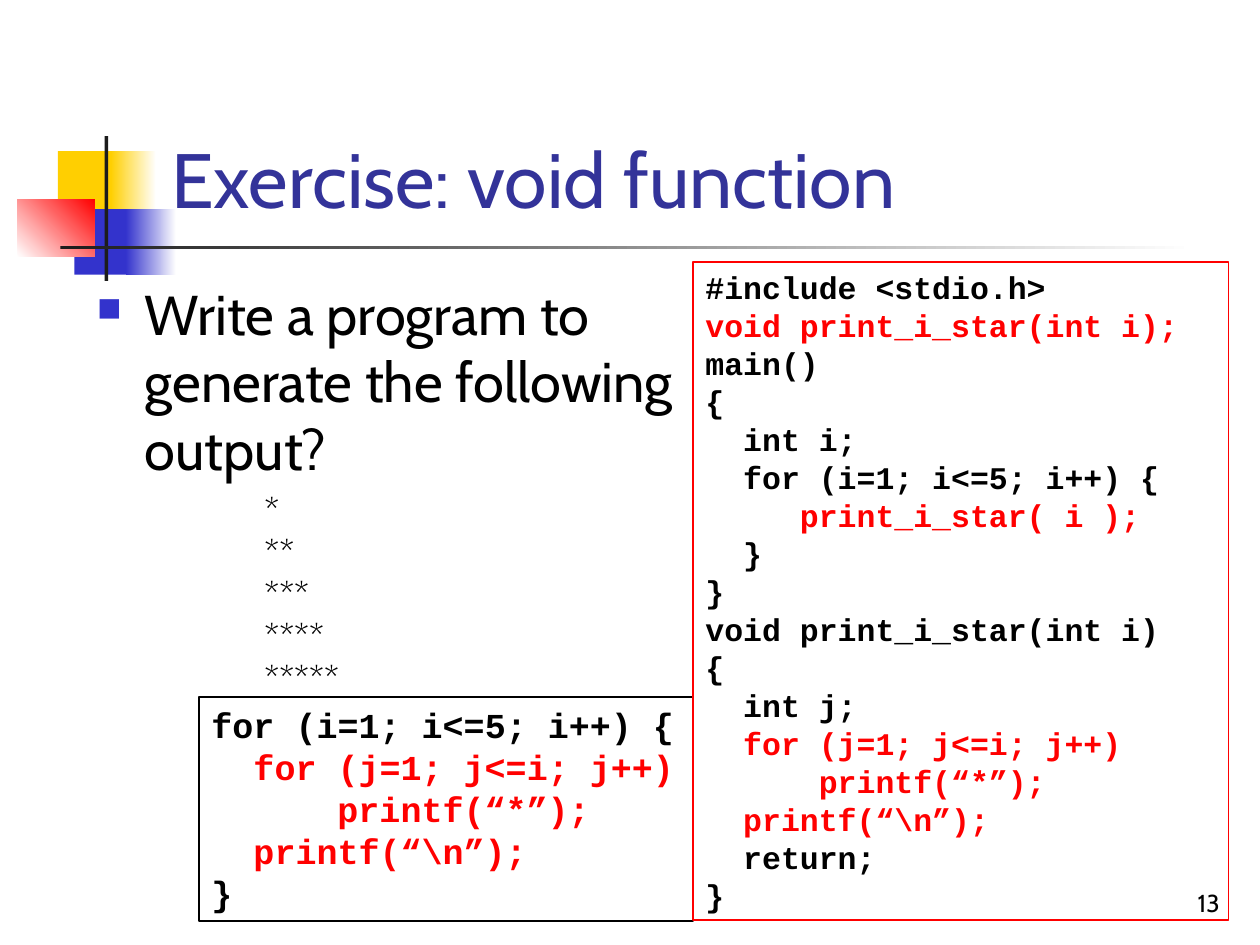
from dataclasses import dataclass
from typing import Optional

from lxml.etree import SubElement
from pptx import Presentation
from pptx.dml.color import RGBColor
from pptx.enum.shapes import MSO_SHAPE
from pptx.enum.text import MSO_ANCHOR, PP_ALIGN
from pptx.oxml.ns import qn
from pptx.util import Inches, Pt

BLACK = RGBColor(0x00, 0x00, 0x00)
WHITE = RGBColor(0xFF, 0xFF, 0xFF)
RED = RGBColor(0xFF, 0x00, 0x00)
YELLOW = RGBColor(0xFF, 0xCF, 0x01)
BLUE = RGBColor(0x33, 0x33, 0xCC)
CHARCOAL = RGBColor(0x1C, 0x1C, 0x1C)
TITLE_BLUE = RGBColor(0x33, 0x33, 0x99)

TEXT_FONT = "Cabin"
CODE_FONT = "Courier New"
CODE_CHARACTER_WIDTH = 0.6
CODE_LINE_HEIGHT = 1.205
COLUMNS, ROWS = 100, 75
SLIDE_WIDTH, SLIDE_HEIGHT = Inches(10), Inches(7.5)


@dataclass(frozen=True)
class Area:
    column: float
    row: float
    columns: float
    rows: float

    def lengths(self) -> tuple[int, int, int, int]:
        across, down = SLIDE_WIDTH / COLUMNS, SLIDE_HEIGHT / ROWS
        return (
            round(self.column * across),
            round(self.row * down),
            round(self.columns * across),
            round(self.rows * down),
        )


@dataclass(frozen=True)
class Block:
    area: Area
    color: RGBColor
    fade_to: Optional[RGBColor] = None
    angle: float = 0


@dataclass(frozen=True)
class CodeLine:
    text: str
    indent: int = 0
    color: RGBColor = BLACK


@dataclass(frozen=True)
class CodePanel:
    area: Area
    size: int
    border: RGBColor
    lines: tuple[CodeLine, ...]


BLOCKS = (
    Block(Area(4.6, 12, 4.8, 5.2), YELLOW),
    Block(Area(8.8, 12, 3.6, 5.2), YELLOW, WHITE),
    Block(Area(5.9, 16.6, 4.6, 5.2), BLUE),
    Block(Area(10, 16.6, 4, 5.2), BLUE, WHITE),
    Block(Area(1.4, 15.8, 6.1, 4.6), WHITE, RED, 45),
    Block(Area(8.3, 10.8, 0.3, 11.5), CHARCOAL),
    Block(Area(4.8, 19.5, 90, 0.3), CHARCOAL, WHITE),
)

STAR_LOOP = (
    CodeLine("for (j=1; j<=i; j++)", 2, RED),
    CodeLine("printf(“*”);", 6, RED),
    CodeLine("printf(“\\n”);", 2, RED),
)

PANELS = (
    CodePanel(
        Area(15.8, 55.3, 39.2, 17.8), 20, BLACK,
        (CodeLine("for (i=1; i<=5; i++) {"), *STAR_LOOP, CodeLine("}")),
    ),
    CodePanel(
        Area(55, 20.8, 42.5, 52.2), 18, RED,
        (
            CodeLine("#include <stdio.h>"),
            CodeLine("void print_i_star(int i);", 0, RED),
            CodeLine("main()"),
            CodeLine("{"),
            CodeLine("int i;", 2),
            CodeLine("for (i=1; i<=5; i++) {", 2),
            CodeLine("print_i_star( i );", 5, RED),
            CodeLine("}", 2),
            CodeLine("}"),
            CodeLine("void print_i_star(int i)"),
            CodeLine("{"),
            CodeLine("int j;", 2),
            *STAR_LOOP,
            CodeLine("return;", 2),
            CodeLine("}"),
        ),
    ),
)


def add_block(slide, block: Block) -> None:
    shape = slide.shapes.add_shape(MSO_SHAPE.RECTANGLE, *block.area.lengths())
    shape.shadow.inherit = False
    shape.line.fill.background()
    if block.fade_to is None:
        shape.fill.solid()
        shape.fill.fore_color.rgb = block.color
        return
    shape.fill.gradient()
    shape.fill.gradient_angle = block.angle
    for stop, color in zip(shape.fill.gradient_stops, (block.color, block.fade_to)):
        stop.color.rgb = color


def add_run(paragraph, text: str, size: int, color: RGBColor, font: str = TEXT_FONT) -> None:
    run = paragraph.add_run()
    run.text = text
    run.font.name = font
    run.font.size = Pt(size)
    run.font.color.rgb = color
    run.font.bold = font == CODE_FONT


def add_text(slide, area: Area, lines: tuple[str, ...], size: int,
             color: RGBColor = BLACK, anchor=MSO_ANCHOR.TOP, align=PP_ALIGN.LEFT):
    frame = slide.shapes.add_textbox(*area.lengths()).text_frame
    frame.word_wrap = True
    frame.vertical_anchor = anchor
    for number, line in enumerate(lines):
        paragraph = frame.add_paragraph() if number else frame.paragraphs[0]
        paragraph.alignment = align
        add_run(paragraph, line, size, color)
    return frame


def add_square_bullet(paragraph) -> None:
    properties = paragraph._p.get_or_add_pPr()
    properties.set("marL", str(Inches(0.38)))
    properties.set("indent", str(-Inches(0.38)))
    color = SubElement(properties, qn("a:buClr"))
    SubElement(color, qn("a:srgbClr")).set("val", str(BLUE))
    SubElement(properties, qn("a:buSzPct")).set("val", "60000")
    SubElement(properties, qn("a:buChar")).set("char", "■")


def add_code_panel(slide, panel: CodePanel) -> None:
    shape = slide.shapes.add_shape(MSO_SHAPE.RECTANGLE, *panel.area.lengths())
    shape.shadow.inherit = False
    shape.fill.background()
    shape.line.color.rgb = panel.border
    shape.line.width = Pt(1)
    frame = shape.text_frame
    frame.word_wrap = True
    frame.vertical_anchor = MSO_ANCHOR.TOP
    for number, line in enumerate(panel.lines):
        paragraph = frame.add_paragraph() if number else frame.paragraphs[0]
        paragraph.alignment = PP_ALIGN.LEFT
        paragraph.line_spacing = Pt(panel.size * CODE_LINE_HEIGHT)
        margin = Pt(line.indent * panel.size * CODE_CHARACTER_WIDTH)
        paragraph._p.get_or_add_pPr().set("marL", str(margin))
        add_run(paragraph, line.text, panel.size, line.color, CODE_FONT)


def main() -> None:
    presentation = Presentation()
    presentation.slide_width, presentation.slide_height = SLIDE_WIDTH, SLIDE_HEIGHT
    slide = presentation.slides.add_slide(presentation.slide_layouts[6])
    for block in BLOCKS:
        add_block(slide, block)
    add_text(slide, Area(77, 68.3, 20.8, 5), ("13",), 14,
             anchor=MSO_ANCHOR.BOTTOM, align=PP_ALIGN.RIGHT)
    add_text(slide, Area(12.6, 2.3, 85.2, 16), ("Exercise: void function",), 44,
             TITLE_BLUE, MSO_ANCHOR.BOTTOM)
    task = add_text(slide, Area(6.7, 21.7, 49.2, 20.8),
                    ("Write a program to generate the following output?",), 32)
    add_square_bullet(task.paragraphs[0])
    stars = tuple("*" * count for count in range(1, 6))
    add_text(slide, Area(20, 38.3, 20.8, 17.7), stars, 20)
    for panel in PANELS:
        add_code_panel(slide, panel)
    presentation.save("out.pptx")


if __name__ == "__main__":
    main()
